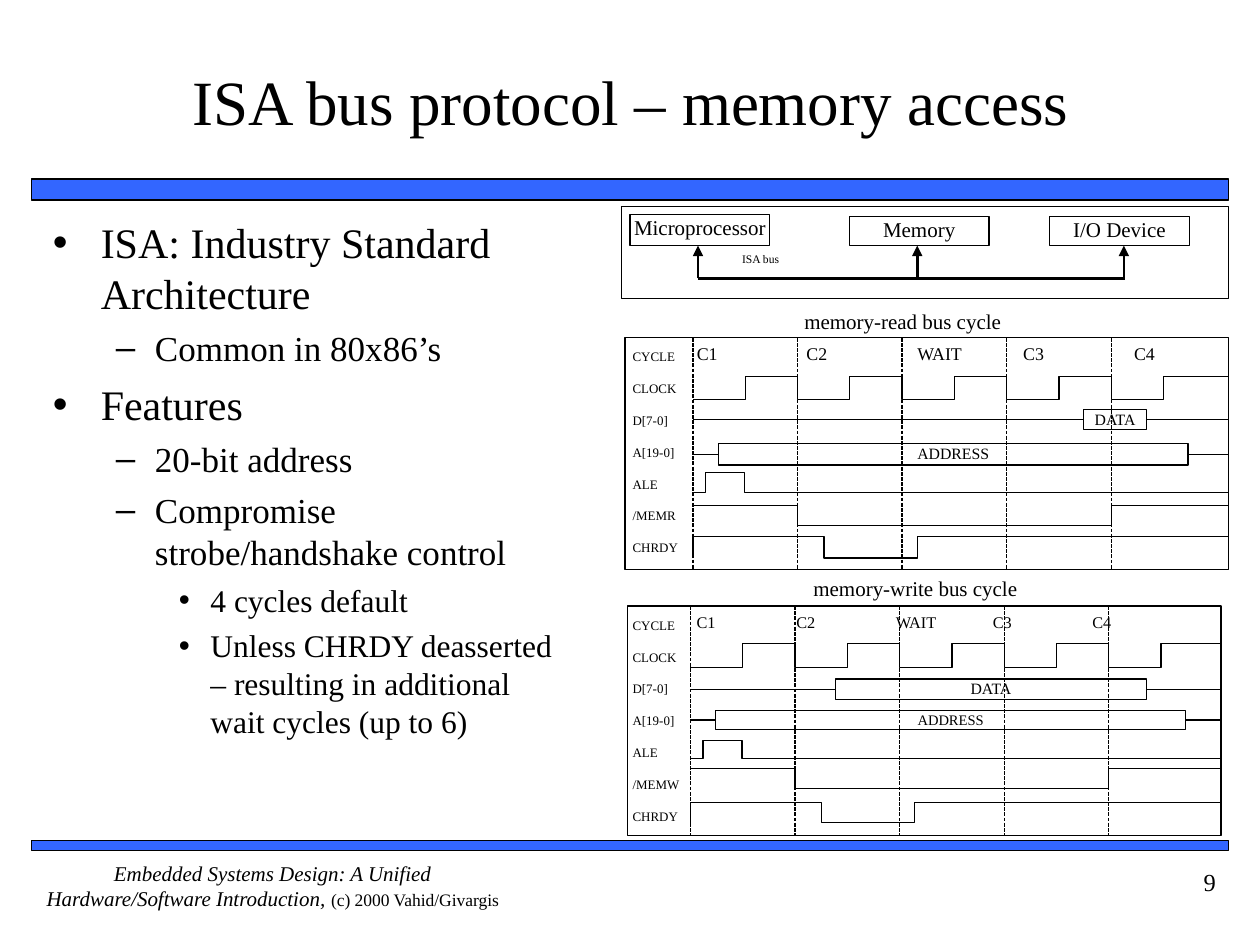
from itertools import pairwise
from typing import NamedTuple

from pptx import Presentation
from pptx.dml.color import RGBColor
from pptx.enum.dml import MSO_LINE as Dash
from pptx.enum.shapes import MSO_CONNECTOR as Conn, MSO_SHAPE as Shape
from pptx.enum.text import MSO_ANCHOR as Anchor, MSO_AUTO_SIZE as Fit, PP_ALIGN as Align
from pptx.oxml.ns import qn
from pptx.util import Inches, Pt
from lxml.etree import SubElement as Sub

BLACK = RGBColor(0x00, 0x00, 0x00)
WHITE = RGBColor(0xFF, 0xFF, 0xFF)
BLUE = RGBColor(0x33, 0x66, 0xFF)
FACE = "Times New Roman"
STEP = 0.83

LEVELS = [
    (24, 6, 0.38, 0.38, "•"),
    (20, 5, 0.81, 0.31, "–"),
    (18, 4.5, 1.25, 0.25, "•"),
]
POINTS = [
    (0, "ISA: Industry Standard Architecture"),
    (1, "Common in 80x86’s"),
    (0, "Features"),
    (1, "20-bit address"),
    (1, "Compromise strobe/handshake control"),
    (2, "4 cycles default"),
    (2, "Unless CHRDY deasserted – resulting in additional wait cycles (up to 6)"),
]
PHASES = ["C1", "C2", "WAIT", "C3", "C4"]


class Cycle(NamedTuple):
    name: str
    cap: tuple
    box: tuple
    head: tuple
    size: float
    tabs: tuple
    strobe: str
    start: float
    clock: tuple
    data: tuple
    addr: tuple
    ale: tuple
    mem: tuple
    ready: tuple
    small: float


CYCLES = [
    Cycle("memory-read bus cycle", (4.99, 2.45), (4.96, 2.68, 4.79, 1.84),
          (5.53, 2.72, 3.85, 0.21), 10.2, (0.87, 1.75, 2.59, 3.47), "/MEMR",
          5.5, (3.17, 2.99), (8.6, 3.25, 0.5, 0.16), (3.52, 0.17),
          (3.91, 3.75), (4.01, 4.17), (4.43, 4.26), 9),
    Cycle("memory-write bus cycle", (5.09, 4.57), (4.98, 4.81, 4.71, 1.82),
          (5.53, 4.86, 3.6, 0.15), 9.3, (0.79, 1.58, 2.35, 3.14), "/MEMW",
          5.48, (5.3, 5.11), (6.63, 5.39, 2.47, 0.16), (5.64, 0.15),
          (6.02, 5.88), (6.1, 6.26), (6.53, 6.37), 8.3),
]


def put(para, text, size, slant=False):
    run = para.add_run()
    run.text = text
    font = run.font
    font.name, font.size, font.italic = FACE, Pt(size), slant
    font.color.rgb = BLACK


def setup(shape, pad=(0, 0), anchor=Anchor.TOP):
    frame = shape.text_frame
    frame.word_wrap = True
    frame.auto_size = Fit.NONE
    frame.vertical_anchor = anchor
    frame.margin_left = frame.margin_right = Inches(pad[0])
    frame.margin_top = frame.margin_bottom = Inches(pad[1])
    return frame


def place(shape, box):
    shape.left, shape.top, shape.width, shape.height = map(Inches, box)


def label(shapes, box, text, size, align=Align.LEFT, pad=(0, 0)):
    frame = setup(shapes.add_textbox(*map(Inches, box)), pad)
    para = frame.paragraphs[0]
    para.alignment = align
    if text:
        put(para, text, size)
    return frame


def block(shapes, box, text="", size=12, fill=None, width=0.75):
    shape = shapes.add_shape(Shape.RECTANGLE, *map(Inches, box))
    shape.shadow.inherit = False
    if fill is None:
        shape.fill.background()
    else:
        shape.fill.solid()
        shape.fill.fore_color.rgb = fill
    shape.line.color.rgb = BLACK
    shape.line.width = Pt(width)
    if text:
        para = setup(shape).paragraphs[0]
        para.alignment = Align.CENTER
        put(para, text, size)


def wire(shapes, x1, y1, x2, y2, width=0.75, dash=None, arrow=False):
    line = shapes.add_connector(Conn.STRAIGHT, *map(Inches, (x1, y1, x2, y2)))
    line.line.color.rgb = BLACK
    line.line.width = Pt(width)
    if dash:
        line.line.dash_style = dash
    if arrow:
        Sub(line.line._get_or_add_ln(), qn("a:tailEnd"), type="triangle")
    Sub(line._element.spPr, qn("a:effectLst"))


def wave(shapes, xs, levels):
    dots = []
    for i, (x1, x2) in enumerate(pairwise(xs)):
        y = Inches(levels[i % 2])
        dots += [(Inches(x1), y), (Inches(x2), y)]
    pen = shapes.build_freeform(*dots[0])
    pen.add_line_segments(dots[1:], close=False)
    shape = pen.convert_to_shape()
    shape.shadow.inherit = False
    shape.fill.background()
    shape.line.color.rgb = BLACK
    shape.line.width = Pt(0.75)


def heads(shapes, cycle):
    frame = label(shapes, cycle.head, "", cycle.size)
    para = frame.paragraphs[0]
    stops = Sub(para._p.get_or_add_pPr(), qn("a:tabLst"))
    for tab in cycle.tabs:
        Sub(stops, qn("a:tab"), pos=str(Inches(tab)), algn="l")
    put(para, "\t".join(PHASES), cycle.size)


def names(shapes, cycle):
    box = (5.02, cycle.box[1] + 0.09, 0.45, 1.65)
    frame = label(shapes, box, "CYCLE", 7.4)
    for name in ["CLOCK", "D[7-0]", "A[19-0]", "ALE", cycle.strobe, "CHRDY"]:
        para = frame.add_paragraph()
        para.space_before = Pt(9.3)
        put(para, name, 7.4)


def chart(shapes, cycle):
    left, top, wide, high = cycle.box
    start, end = cycle.start, left + wide
    cols = [start + STEP * i for i in range(5)]
    label(shapes, (*cycle.cap, 4.35, 0.2), cycle.name, 12, Align.CENTER)
    block(shapes, cycle.box)
    names(shapes, cycle)
    heads(shapes, cycle)
    for x in cols:
        wire(shapes, x, top, x, top + high, dash=Dash.SQUARE_DOT)
    addr = (start + 0.2, cycle.addr[0], 3.73, cycle.addr[1])
    for box, text, size in [(cycle.data, "DATA", 9), (addr, "ADDRESS", cycle.small)]:
        y = box[1] + box[3] / 2
        wire(shapes, start, y, box[0], y)
        wire(shapes, box[0] + box[2], y, end, y)
        block(shapes, box, text, size)
    ticks = [start + STEP / 2 * i for i in range(10)]
    wave(shapes, [*ticks, end], cycle.clock)
    wave(shapes, [start, start + 0.1, start + 0.41, end], cycle.ale)
    wave(shapes, [start, cols[1], cols[4], end], cycle.mem)
    wave(shapes, [start, start, start + 1.04, start + 1.78, end], cycle.ready)


def system(shapes):
    block(shapes, (4.93, 1.64, 4.82, 0.73), fill=WHITE)
    for x, y, text in [(5, 1.7, "Microprocessor"), (6.74, 1.72, "Memory"),
                       (8.33, 1.72, "I/O Device")]:
        block(shapes, (x, y, 1.11, 1.95 - y), text, fill=WHITE)
    wire(shapes, 5.54, 2.21, 8.93, 2.21, 1.5)
    for x in (5.54, 7.28, 8.92):
        wire(shapes, x, 2.21, x, 1.95, 1.5, arrow=True)
    label(shapes, (5.89, 2, 1.02, 0.13), "ISA bus", 6.6)


def title(shape):
    place(shape, (0.42, 0.17, 9.17, 1.25))
    para = setup(shape, (0, 0.05), Anchor.MIDDLE).paragraphs[0]
    para.alignment = Align.CENTER
    put(para, "ISA bus protocol – memory access", 36)


def body(shape):
    place(shape, (0.32, 1.67, 4.3, 4.92))
    frame = setup(shape, (0.1, 0.05))
    for i, (level, text) in enumerate(POINTS):
        size, gap, left, hang, mark = LEVELS[level]
        para = frame.add_paragraph() if i else frame.paragraphs[0]
        para.level = level
        props = para._p.get_or_add_pPr()
        props.set("marL", str(Inches(left)))
        props.set("indent", str(-Inches(hang)))
        Sub(Sub(props, qn("a:buClr")), qn("a:srgbClr"), val=str(BLACK))
        Sub(props, qn("a:buChar"), char=mark)
        para.space_before = Pt(gap if i else 0)
        put(para, text, size)


def footer(shapes):
    block(shapes, (0.25, 6.67, 9.5, 0.08), fill=BLUE, width=1)
    frame = label(shapes, (0.25, 6.83, 3.83, 0.5), "", 12, Align.CENTER)
    para = frame.paragraphs[0]
    put(para, "Embedded Systems Design: A Unified Hardware/Software Introduction, ", 12, True)
    put(para, "(c) 2000 Vahid/Givargis", 10)
    label(shapes, (8.75, 6.83, 1, 0.5), "9", 14, Align.RIGHT, (0.1, 0.05))


def main():
    deck = Presentation()
    deck.slide_width, deck.slide_height = Inches(10), Inches(7.5)
    slide = deck.slides.add_slide(deck.slide_layouts[1])
    shapes = slide.shapes
    title(shapes.title)
    body(slide.placeholders[1])
    block(shapes, (0.25, 1.42, 9.5, 0.17), fill=BLUE, width=1)
    system(shapes)
    for cycle in CYCLES:
        chart(shapes, cycle)
    footer(shapes)
    deck.save("out.pptx")


if __name__ == "__main__":
    main()
